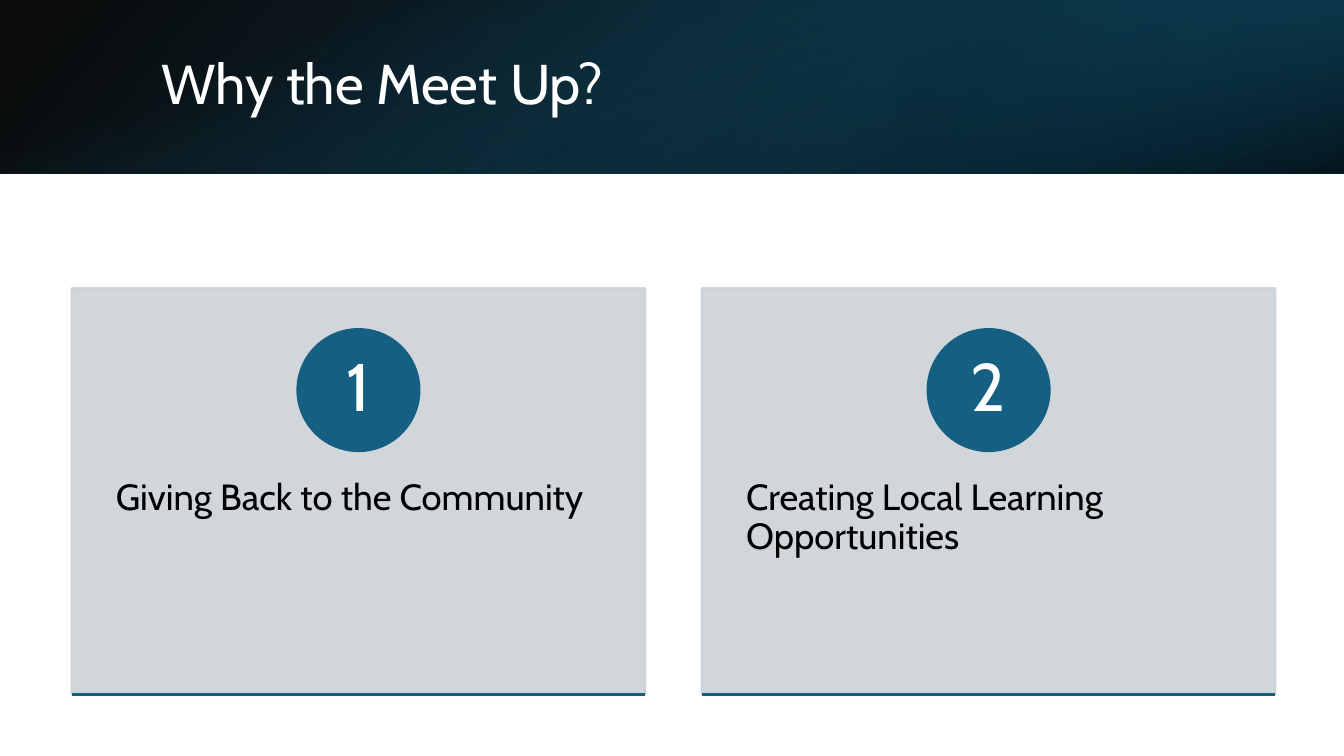
from dataclasses import dataclass

from lxml.etree import SubElement
from pptx import Presentation
from pptx.dml.color import RGBColor
from pptx.enum.shapes import MSO_CONNECTOR, MSO_SHAPE
from pptx.enum.text import MSO_ANCHOR, MSO_AUTO_SIZE, PP_ALIGN
from pptx.oxml.ns import qn
from pptx.shapes.autoshape import Shape
from pptx.slide import Slide
from pptx.util import Inches, Pt


@dataclass(frozen=True)
class Theme:
    font: str = "Cabin"
    blue: str = "156082"
    card: str = "CCD2D8"
    white: str = "FFFFFF"
    black: str = "000000"
    title: int = 40
    body: int = 26
    badge: int = 48
    line: float = 1.5


@dataclass(frozen=True)
class Box:
    left: float
    top: float
    width: float
    height: float


@dataclass(frozen=True)
class Stop:
    place: int
    color: str
    alpha: int = 100


@dataclass(frozen=True)
class Band:
    box: Box
    angle: int
    stops: tuple[Stop, ...]
    turn: int = 0
    flip: bool = False


@dataclass(frozen=True)
class Card:
    label: str
    text: str


THEME = Theme()
WIDE, HIGH, HEAD = 13.33, 7.5, 1.72
BANDS = (
    Band(Box(0, 0, WIDE, HEAD), 140,
         (Stop(0, THEME.black, 96), Stop(100, "104862")), flip=True),
    Band(Box(8.89, 0, 4.44, HEAD), 320,
         (Stop(19, "0B3041", 68), Stop(100, THEME.blue, 79)), turn=180, flip=True),
    Band(Box((WIDE - HEAD) / 2, (HEAD - WIDE) / 2, HEAD, WIDE), 340,
         (Stop(23, THEME.blue, 0), Stop(99, THEME.black, 74)), turn=90),
)
CARDS = (
    Card("1", "Giving Back to the Community"),
    Card("2", "Creating Local Learning Opportunities"),
)
LEFT, TOP, STEP = 0.71, 2.86, 6.25
CARD_W, CARD_H = 5.69, 4.03
DISC, LABEL = 1.21, 0.86


def place(shape: Shape, box: Box) -> None:
    shape.left, shape.top = Inches(box.left), Inches(box.top)
    shape.width, shape.height = Inches(box.width), Inches(box.height)


def add_alpha(node, alpha: int) -> None:
    if alpha < 100:
        SubElement(node, qn("a:alpha"), val=str(alpha * 1000))


def add_plain(slide: Slide, kind: MSO_SHAPE, box: Box) -> Shape:
    shape = slide.shapes.add_shape(kind, 0, 0, 0, 0)
    place(shape, box)
    shape.shadow.inherit = False
    return shape


def add_band(slide: Slide, band: Band) -> Shape:
    shape = add_plain(slide, MSO_SHAPE.RECTANGLE, band.box)
    shape.rotation = band.turn
    shape.line.fill.background()
    if band.flip:
        shape.element.spPr.find(qn("a:xfrm")).set("flipH", "1")
    shape.fill.gradient()
    grad = shape.element.spPr.find(qn("a:gradFill"))
    for child in list(grad):
        grad.remove(child)
    stops = SubElement(grad, qn("a:gsLst"))
    for stop in band.stops:
        node = SubElement(stops, qn("a:gs"), pos=str(stop.place * 1000))
        add_alpha(SubElement(node, qn("a:srgbClr"), val=stop.color), stop.alpha)
    SubElement(grad, qn("a:lin"), ang=str(band.angle * 60000), scaled="0")
    return shape


def add_solid(slide: Slide, kind: MSO_SHAPE, box: Box, color: str,
              alpha: int = 100) -> None:
    shape = add_plain(slide, kind, box)
    shape.fill.solid()
    shape.line.width = Pt(THEME.line)
    for fill in (shape.fill, shape.line.fill):
        fill.solid()
        fill.fore_color.rgb = RGBColor.from_string(color)
    for node in list(shape.element.spPr.iter(qn("a:srgbClr"))):
        add_alpha(node, alpha)


def write(shape: Shape, text: str, size: int, color: str,
          align: PP_ALIGN = PP_ALIGN.LEFT, anchor: MSO_ANCHOR = MSO_ANCHOR.MIDDLE,
          pad: tuple[float, float] = (0.1, 0.05)) -> None:
    """Fill a text shape with one run; pad is the side and top inset."""
    frame = shape.text_frame
    frame.word_wrap = True
    frame.auto_size = MSO_AUTO_SIZE.NONE
    frame.vertical_anchor = anchor
    frame.margin_left = frame.margin_right = Inches(pad[0])
    frame.margin_top = frame.margin_bottom = Inches(pad[1])
    para = frame.paragraphs[0]
    para.alignment = align
    para.line_spacing = 0.9
    run = para.add_run()
    run.text = text
    run.font.name = THEME.font
    run.font.size = Pt(size)
    run.font.color.rgb = RGBColor.from_string(color)


def add_text(slide: Slide, box: Box) -> Shape:
    shape = slide.shapes.add_textbox(0, 0, 0, 0)
    place(shape, box)
    return shape


def add_rule(slide: Slide, left: float, top: float) -> None:
    rule = slide.shapes.add_connector(
        MSO_CONNECTOR.STRAIGHT, Inches(left), Inches(top),
        Inches(left + CARD_W), Inches(top))
    rule.line.width = Pt(THEME.line)
    rule.line.color.rgb = RGBColor.from_string(THEME.blue)
    SubElement(rule.element.spPr, qn("a:effectLst"))


def add_card(slide: Slide, card: Card, left: float) -> None:
    def center(size: float) -> Box:
        return Box(left + (CARD_W - size) / 2, 3.87 - size / 2, size, size)

    add_solid(slide, MSO_SHAPE.RECTANGLE, Box(left, TOP, CARD_W, CARD_H),
              THEME.card, 90)
    body = add_text(slide, Box(left, 4.39, CARD_W, 2.42))
    write(body, card.text, THEME.body, THEME.black,
          anchor=MSO_ANCHOR.TOP, pad=(0.44, 0.36))
    add_solid(slide, MSO_SHAPE.OVAL, center(DISC), THEME.blue)
    label = add_text(slide, center(LABEL))
    write(label, card.label, THEME.badge, THEME.white,
          align=PP_ALIGN.CENTER, pad=(0.09, 0.01))
    add_rule(slide, left, TOP + CARD_H)


def main() -> None:
    deck = Presentation()
    deck.slide_width, deck.slide_height = Inches(WIDE), Inches(HIGH)
    slide = deck.slides.add_slide(deck.slide_layouts[5])
    title = slide.shapes.title
    for band in BANDS:
        title.element.addprevious(add_band(slide, band).element)
    place(title, Box(1.5, 0.38, 10.98, 0.96))
    write(title, "Why the Meet Up?", THEME.title, THEME.white)
    for index, card in enumerate(CARDS):
        add_card(slide, card, LEFT + index * STEP)
    deck.save("out.pptx")


if __name__ == "__main__":
    main()
